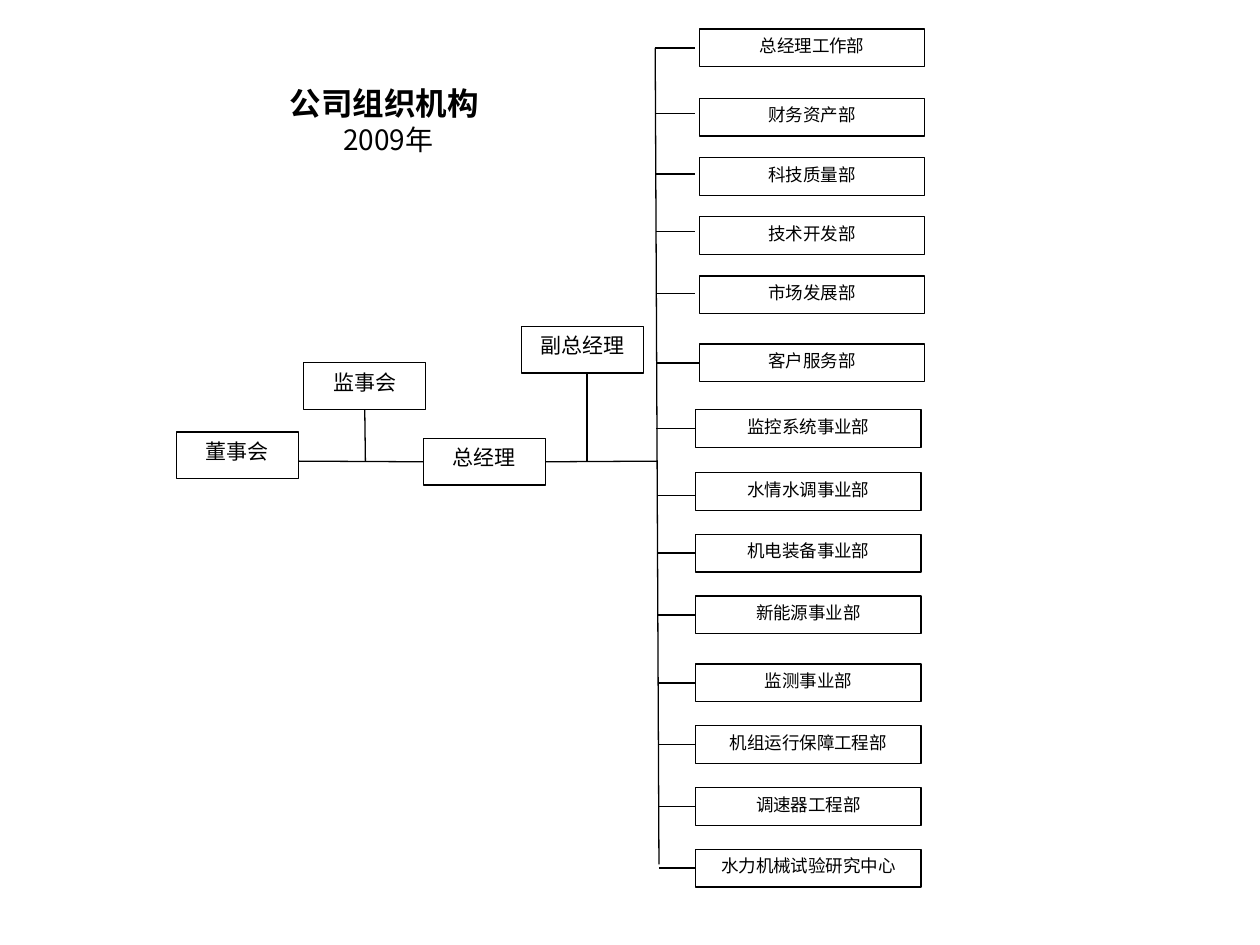
from dataclasses import dataclass
from typing import Optional

from lxml import etree
from pptx import Presentation
from pptx import util as u
from pptx.dml.color import RGBColor
from pptx.enum import shapes, text
from pptx.oxml.ns import qn


@dataclass(frozen=True)
class Theme:
    ink: RGBColor = RGBColor(0, 0, 0)
    paper: RGBColor = RGBColor(255, 255, 255)
    font: str = "Calibri"
    title_font: str = "Noto Sans CJK SC"
    title: int = 18
    year: int = 16
    office: int = 12
    unit: int = 10
    line: float = 0.75


@dataclass(frozen=True)
class Line:
    """One paragraph of text."""
    words: str
    size: int
    font: str
    bold: bool = False


@dataclass(frozen=True)
class Unit:
    """A unit at the right; without stub_y its stub joins the box."""
    name: str
    top: float
    stub_y: Optional[float] = None


THEME = Theme()
OFFICE_SIZE = (0.97, 0.37)
UNIT_SIZE = (1.79, 0.3)
DEPARTMENT_LEFT, DIVISION_LEFT = 5.55, 5.52
SPINE_START, SPINE_END = (5.2, 0.38), (5.23, 6.86)
TRUNK_Y = 3.66

DEPARTMENTS = [
    Unit("总经理工作部", 0.23, 0.38),
    Unit("财务资产部", 0.78, 0.9),
    Unit("科技质量部", 1.25, 1.38),
    Unit("技术开发部", 1.72, 1.84),
    Unit("市场发展部", 2.19, 2.33),
    Unit("客户服务部", 2.73),
]
DIVISIONS = [
    Unit("监控系统事业部", 3.25),
    Unit("水情水调事业部", 3.75, 3.93),
    Unit("机电装备事业部", 4.24),
    Unit("新能源事业部", 4.73),
    Unit("监测事业部", 5.27),
    Unit("机组运行保障工程部", 5.76),
    Unit("调速器工程部", 6.25),
    Unit("水力机械试验研究中心", 6.74),
]


def add_box(page, left: float, top: float, size: tuple, lines: list[Line],
            outline: RGBColor = THEME.ink):
    box = page.shapes.add_shape(shapes.MSO_SHAPE.RECTANGLE, u.Inches(left), u.Inches(top),
                                *map(u.Inches, size))
    box.shadow.inherit = False
    box.fill.solid()
    box.fill.fore_color.rgb = THEME.paper
    box.line.color.rgb = outline
    box.line.width = u.Pt(THEME.line)
    frame = box.text_frame
    frame_format = {"word_wrap": True, "vertical_anchor": text.MSO_ANCHOR.TOP,
                    "margin_left": u.Inches(0.1), "margin_right": u.Inches(0.1),
                    "margin_top": u.Inches(0.05), "margin_bottom": u.Inches(0.05)}
    for key, value in frame_format.items():
        setattr(frame, key, value)
    for index, line in enumerate(lines):
        para = frame.add_paragraph() if index else frame.paragraphs[0]
        para.alignment = text.PP_ALIGN.CENTER
        span = para.add_run()
        span.text = line.words
        span.font.color.rgb = THEME.ink
        span_format = {"size": u.Pt(line.size), "name": line.font, "bold": line.bold}
        for key, value in span_format.items():
            setattr(span.font, key, value)
    return box


def add_office(page, name: str, left: float, top: float):
    return add_box(page, left, top, OFFICE_SIZE, [Line(name, THEME.office, THEME.font)])


def add_line(page, start: tuple, end: tuple):
    line = page.shapes.add_connector(shapes.MSO_CONNECTOR.STRAIGHT,
                                     *map(u.Inches, (*start, *end)))
    line.line.color.rgb = THEME.ink
    line.line.width = u.Pt(THEME.line)
    etree.SubElement(line._element.spPr, qn("a:effectLst"))
    return line


def add_unit(page, unit: Unit, left: float, stub_end: float) -> None:
    box = add_box(page, left, unit.top, UNIT_SIZE, [Line(unit.name, THEME.unit, THEME.font)])
    joined = unit.stub_y is None
    y = unit.top + UNIT_SIZE[1] / 2 if joined else unit.stub_y
    # The spine leans slightly, so each stub starts where the spine passes
    (x1, y1), (x2, y2) = SPINE_START, SPINE_END
    x = round(x1 + (x2 - x1) * (y - y1) / (y2 - y1), 2)
    stub = add_line(page, (x, y), (stub_end, y))
    if joined:
        stub.end_connect(box, 1)


def main() -> None:
    deck = Presentation()
    deck.slide_width, deck.slide_height = u.Inches(10), u.Inches(7.5)
    page = deck.slides.add_slide(deck.slide_layouts[6])

    # Title
    title = add_box(page, 1.48, 0.62, (3.2, 0.67), [
        Line("公司组织机构 ", THEME.title, THEME.title_font, bold=True),
        Line("2009年", THEME.year, THEME.title_font),
    ], outline=THEME.paper)
    title.text_frame.auto_size = text.MSO_AUTO_SIZE.SHAPE_TO_FIT_TEXT

    # Leadership
    add_office(page, "董事会", 1.4, 3.43)
    supervisors = add_office(page, "监事会", 2.41, 2.88)
    manager = add_office(page, "总经理", 3.36, 3.48)
    add_office(page, "副总经理", 4.14, 2.59)

    # Trunk and its branches
    add_line(page, (2.37, TRUNK_Y), (3.36, TRUNK_Y)).end_connect(manager, 1)
    add_line(page, (4.33, TRUNK_Y), (5.22, TRUNK_Y)).begin_connect(manager, 3)
    add_line(page, (2.9, 3.25), (2.9, TRUNK_Y)).begin_connect(supervisors, 2)
    add_line(page, (4.66, 2.97), (4.66, TRUNK_Y))

    # Spine with departments and divisions
    add_line(page, SPINE_START, SPINE_END)
    for unit in DEPARTMENTS:
        add_unit(page, unit, DEPARTMENT_LEFT, stub_end=5.52)
    for unit in DIVISIONS:
        add_unit(page, unit, DIVISION_LEFT, stub_end=DIVISION_LEFT)

    deck.save("out.pptx")


if __name__ == "__main__":
    main()
